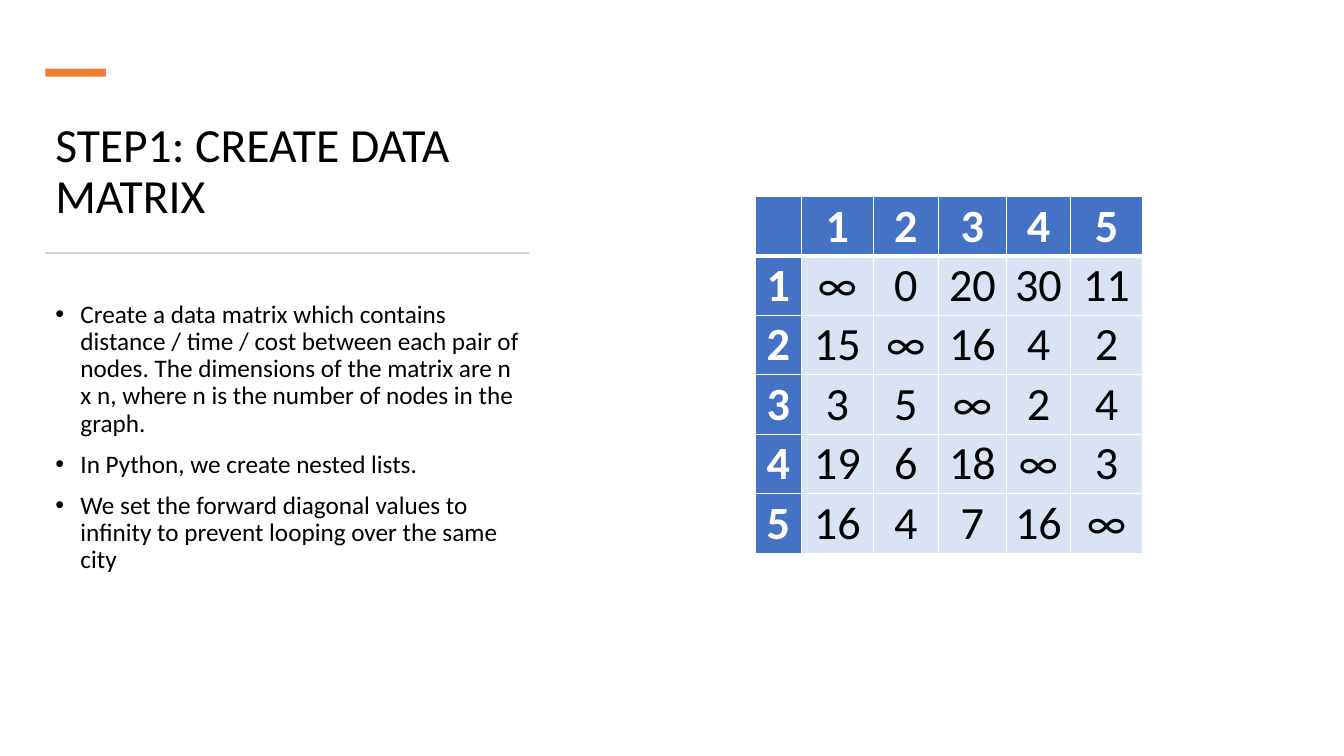
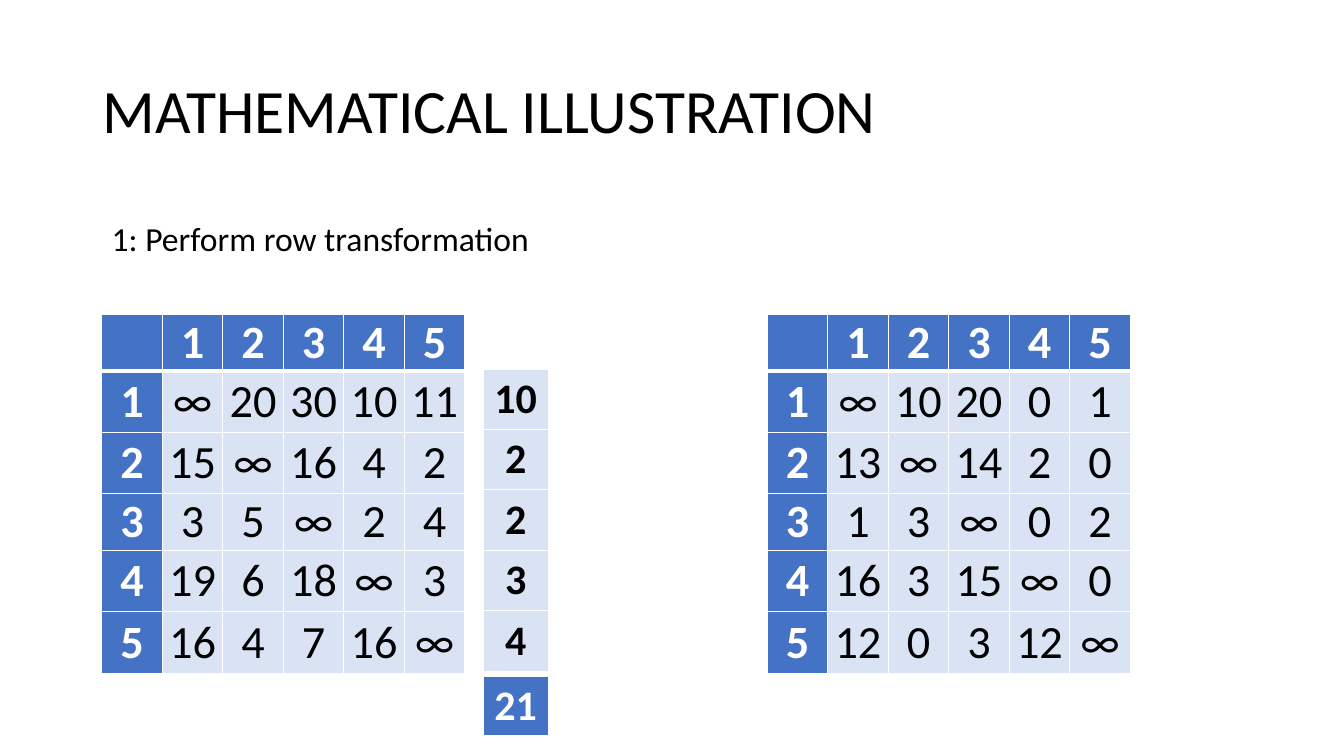
"""Build two slides on distance matrices and row reduction."""
from dataclasses import dataclass

from lxml.etree import SubElement
from pptx import Presentation
from pptx.dml.color import RGBColor
from pptx.enum.shapes import MSO_SHAPE
from pptx.enum.text import MSO_ANCHOR, PP_ALIGN
from pptx.oxml.ns import qn
from pptx.util import Emu, Pt


@dataclass(frozen=True)
class Theme:
    """Colours, font, type sizes and line weights shared by the slides."""
    font: str = "Calibri"
    text: str = "000000"
    white: str = "FFFFFF"
    header: str = "4472C4"
    cell: str = "DAE3F3"
    accent: str = "ED7D31"
    rule: str = "D5D5D5"
    title: int = 44
    side_title: int = 34
    body: int = 18
    caption: int = 24
    matrix: int = 33
    minima: int = 30
    line_spacing: float = 0.9
    thin: int = 1
    thick: int = 3


THEME = Theme()
EMU_PER_PX = 9144

DATA_MATRIX = [
    ["∞", "0", "20", "30", "11"],
    ["15", "∞", "16", "4", "2"],
    ["3", "5", "∞", "2", "4"],
    ["19", "6", "18", "∞", "3"],
    ["16", "4", "7", "16", "∞"],
]
COST_MATRIX = [["∞", "20", "30", "10", "11"], *DATA_MATRIX[1:]]
REDUCED_MATRIX = [
    ["∞", "10", "20", "0", "1"],
    ["13", "∞", "14", "2", "0"],
    ["1", "3", "∞", "0", "2"],
    ["16", "3", "15", "∞", "0"],
    ["12", "0", "3", "12", "∞"],
]
ROW_MINIMA = ["10", "2", "2", "3", "4"]
STEP_POINTS = [
    "Create a data matrix which contains distance / time / cost between each pair "
    "of nodes. The dimensions of the matrix are n x n, where n is the number of "
    "nodes in the graph.",
    "In Python, we create nested lists.",
    "We set the forward diagonal values to infinity to prevent looping over the "
    "same city",
]


def px(length):
    """Turn a length in px into EMU."""
    return Emu(length * EMU_PER_PX)


def style_font(paragraph, size, color=THEME.text, bold=False):
    """Set the font of a whole paragraph."""
    font = paragraph.font
    font.name = THEME.font
    font.size = Pt(size)
    font.bold = bold
    font.color.rgb = RGBColor.from_string(color)


def add_text(slide, box, text, size, anchor=MSO_ANCHOR.TOP):
    """Add a wrapping text box and return its paragraph."""
    frame = slide.shapes.add_textbox(*map(px, box)).text_frame
    frame.word_wrap = True
    frame.vertical_anchor = anchor
    paragraph = frame.paragraphs[0]
    paragraph.text = text
    style_font(paragraph, size)
    return paragraph


def add_title(slide, box, text, size, anchor):
    """Add a slide title."""
    add_text(slide, box, text, size, anchor).line_spacing = THEME.line_spacing


def add_bullets(slide, box, points):
    """Add a bulleted list."""
    frame = slide.shapes.add_textbox(*map(px, box)).text_frame
    frame.word_wrap = True
    for index, point in enumerate(points):
        paragraph = frame.add_paragraph() if index else frame.paragraphs[0]
        paragraph.text = point
        paragraph.line_spacing = THEME.line_spacing
        paragraph.space_before = Pt(10 if index else 0)
        properties = paragraph._p.get_or_add_pPr()
        properties.set("marL", str(px(25)))
        properties.set("indent", str(-px(25)))
        SubElement(properties, qn("a:buFont"), typeface="Arial")
        SubElement(properties, qn("a:buChar"), char="•")
        style_font(paragraph, THEME.body)


def add_bar(slide, box, color):
    """Add a plain filled bar."""
    shape = slide.shapes.add_shape(MSO_SHAPE.RECTANGLE, *map(px, box))
    shape.shadow.inherit = False
    shape.fill.solid()
    shape.fill.fore_color.rgb = RGBColor.from_string(color)
    shape.line.fill.background()


def set_borders(cell, top, bottom):
    """Give a cell white borders with the given top and bottom weights."""
    properties = cell._tc.get_or_add_tcPr()
    weights = {"L": THEME.thin, "R": THEME.thin, "T": top, "B": bottom}
    for side, weight in weights.items():
        line = SubElement(properties, qn(f"a:ln{side}"), w=str(Pt(weight)))
        fill = SubElement(line, qn("a:solidFill"))
        SubElement(fill, qn("a:srgbClr"), val=THEME.white)


def fill_cell(cell, text, size, is_header, bold):
    """Write and colour one table cell."""
    cell.margin_left = cell.margin_right = cell.margin_top = cell.margin_bottom = 0
    cell.vertical_anchor = MSO_ANCHOR.MIDDLE
    cell.fill.solid()
    cell.fill.fore_color.rgb = RGBColor.from_string(
        THEME.header if is_header else THEME.cell)
    cell.text = text
    paragraph = cell.text_frame.paragraphs[0]
    paragraph.alignment = PP_ALIGN.CENTER
    style_font(paragraph, size, THEME.white if is_header else THEME.text, bold)


def add_grid(slide, left, top, widths, heights, rows, size,
             header_rows=0, header_columns=0, bold=False):
    """Add a table whose leading rows and columns are headers."""
    table = slide.shapes.add_table(
        len(rows), len(widths), px(left), px(top),
        px(sum(widths)), px(sum(heights))).table
    table.first_row = header_rows > 0
    table.horz_banding = False
    for column, width in zip(table.columns, widths):
        column.width = px(width)
    for row_index, (values, height) in enumerate(zip(rows, heights)):
        table.rows[row_index].height = px(height)
        below_header = 0 < row_index == header_rows
        last_header = row_index == header_rows - 1
        for column_index, value in enumerate(values):
            cell = table.cell(row_index, column_index)
            is_header = row_index < header_rows or column_index < header_columns
            set_borders(cell, THEME.thick if below_header else THEME.thin,
                        THEME.thick if last_header else THEME.thin)
            fill_cell(cell, value, size, is_header, bold or is_header)


def add_matrix(slide, left, top, widths, heights, matrix):
    """Add a square matrix with numbered header row and column."""
    labels = [str(number) for number in range(1, len(matrix) + 1)]
    rows = [["", *labels]]
    rows += [[label, *values] for label, values in zip(labels, matrix)]
    add_grid(slide, left, top, widths, heights, rows, THEME.matrix,
             header_rows=1, header_columns=1)


def build_data_matrix(slide):
    """Build the slide that introduces the data matrix."""
    add_title(slide, (45, 108, 486, 119), "STEP1: CREATE DATA MATRIX",
              THEME.side_title, MSO_ANCHOR.BOTTOM)
    add_bar(slide, (45, 68, 60, 8), THEME.accent)
    add_bar(slide, (45, 250, 480, 2), THEME.rule)
    add_bullets(slide, (45, 294, 486, 382), STEP_POINTS)
    add_matrix(slide, 749, 195, [46, 71, 65, 67, 64, 71], [59] * 6, DATA_MATRIX)


def build_row_transformation(slide):
    """Build the slide that shows the row reduction."""
    add_title(slide, (92, 40, 1150, 145), "MATHEMATICAL ILLUSTRATION",
              THEME.title, MSO_ANCHOR.MIDDLE)
    add_text(slide, (101, 211, 517, 50), "1: Perform row transformation",
             THEME.caption)
    heights = [56, 61, 61, 56, 61, 61]
    for left, matrix in ((101, COST_MATRIX), (761, REDUCED_MATRIX)):
        add_matrix(slide, left, 312, [60] * 6, heights, matrix)
    add_grid(slide, 479, 366, [65], [60] * 5, [[value] for value in ROW_MINIMA],
             THEME.minima, bold=True)
    total = sum(int(value) for value in ROW_MINIMA)
    add_grid(slide, 479, 671, [65], [60], [[str(total)]], THEME.minima,
             header_rows=1)


def main():
    """Build and save the presentation."""
    presentation = Presentation()
    presentation.slide_width = px(1333)
    presentation.slide_height = px(750)
    blank = presentation.slide_layouts[6]
    for build in (build_data_matrix, build_row_transformation):
        build(presentation.slides.add_slide(blank))
    presentation.save("out.pptx")


if __name__ == "__main__":
    main()
